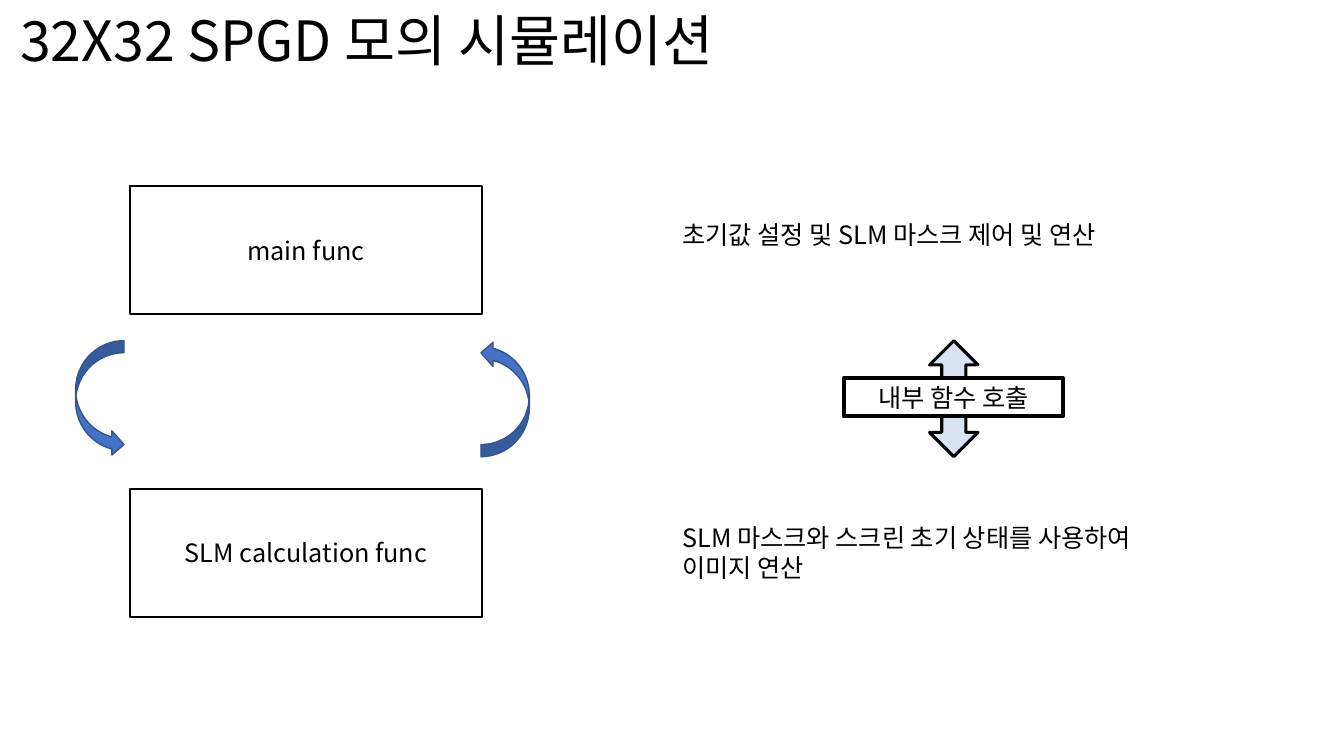
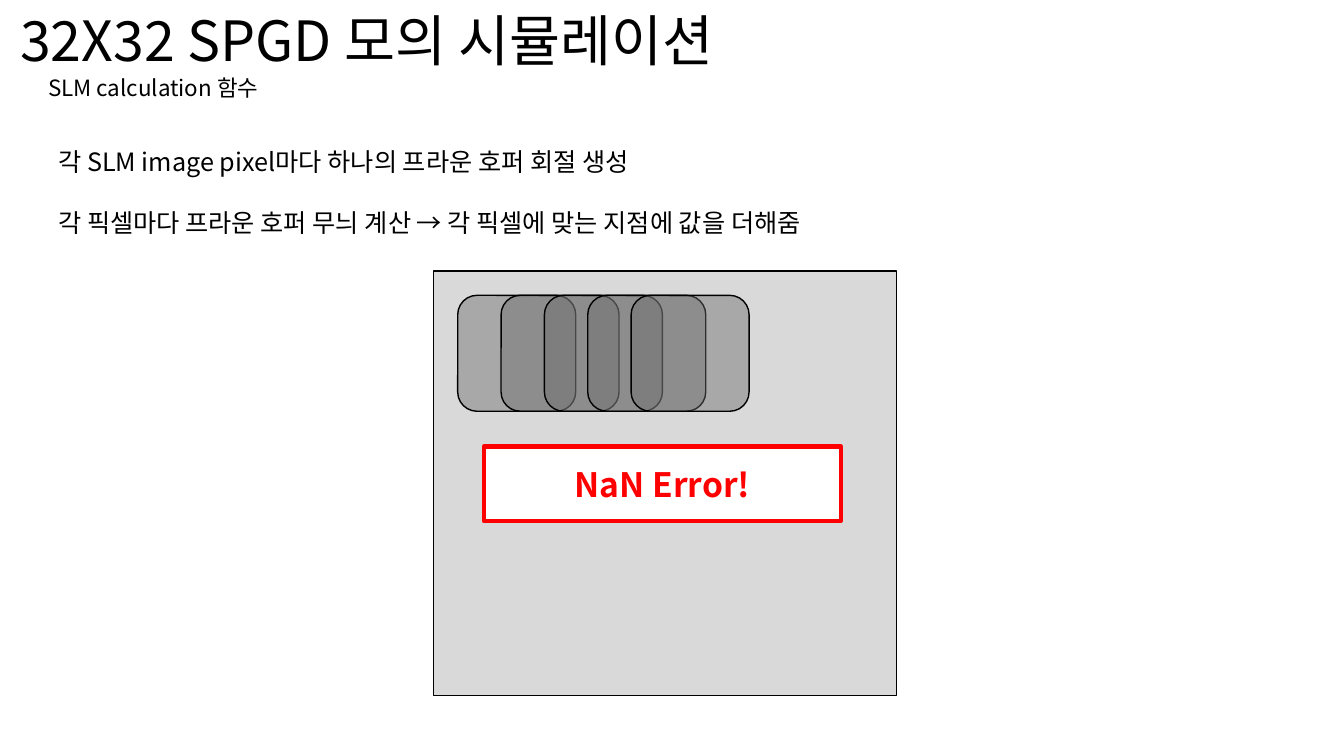
from lxml import etree
from pptx import Presentation
from pptx.dml.color import RGBColor
from pptx.enum import shapes, text
from pptx.oxml import ns
from pptx.util import Inches, Pt

FONT = "Noto Sans CJK KR"
COLORS = {
    "black": "000000", "white": "FFFFFF", "red": "FF0000",
    "blue": "4472C4", "dark blue": "325491", "pale blue": "DAE3F3",
    "screen": "D9D9D9", "pattern": "6B6B6B",
}
TITLE = "32X32 SPGD 모의 시뮬레이션"
SUBTITLE = "SLM calculation 함수"

FUNCTIONS = [  # name, top of its box, description, top of the description
    ("main func", 1.85, ["초기값 설정 및 SLM 마스크 제어 및 연산"], 2.13),
    ("SLM calculation func", 4.85,
     ["SLM 마스크와 스크린 초기 상태를 사용하여", "이미지 연산"], 5.13),
]
LOOP_ARROWS = [(0.75, 0), (4.77, 180)]  # left, rotation
CALL_LABEL = "내부 함수 호출"

STEPS = [
    "각 SLM image pixel마다 하나의 프라운 호퍼 회절 생성",
    "각 픽셀마다 프라운 호퍼 무늬 계산 → 각 픽셀에 맞는 지점에 값을 더해줌",
]
PATTERN_COUNT, PATTERN_LEFT, PATTERN_STEP = 5, 4.54, 0.43
ERROR_LABEL = "NaN Error!"

SHAPE = shapes.MSO_SHAPE
ANCHOR = text.MSO_ANCHOR
ALIGN = text.PP_ALIGN


def rgb(name):
    return RGBColor.from_string(COLORS[name])


def write(shape, lines, size=18, color="black", bold=False, align=ALIGN.LEFT,
          anchor=ANCHOR.TOP, line_spacing=None, gap=0):
    frame = shape.text_frame
    frame.word_wrap = True
    frame.vertical_anchor = anchor
    for index, line in enumerate(lines):
        paragraph = frame.add_paragraph() if index else frame.paragraphs[0]
        paragraph.alignment = align
        paragraph.line_spacing = line_spacing
        if index and gap:
            paragraph.space_before = Pt(gap)
        run = paragraph.add_run()
        run.text = line
        font = run.font
        font.name, font.size, font.bold = FONT, Pt(size), bold
        font.color.rgb = rgb(color)
        east_asian = etree.SubElement(run._r.get_or_add_rPr(), ns.qn("a:ea"))
        east_asian.set("typeface", FONT)


def add_text(slide, box, lines, **text_format):
    write(slide.shapes.add_textbox(*map(Inches, box)), lines, **text_format)


def add_shape(slide, kind, box, fill=None, line="black", width=1, opacity=None):
    shape = slide.shapes.add_shape(kind, *map(Inches, box))
    shape.shadow.inherit = False
    if fill:
        shape.fill.solid()
        shape.fill.fore_color.rgb = rgb(fill)
    else:
        shape.fill.background()
    if opacity:
        color = shape.fill._xPr.find(".//" + ns.qn("a:srgbClr"))
        etree.SubElement(color, ns.qn("a:alpha")).set("val", str(opacity * 1000))
    shape.line.color.rgb = rgb(line)
    shape.line.width = Pt(width)
    return shape


def add_label(slide, box, label, text_format=None, **shape_format):
    """Add a rectangle with centred text."""
    shape = add_shape(slide, SHAPE.RECTANGLE, box, **shape_format)
    write(shape, [label], align=ALIGN.CENTER, anchor=ANCHOR.MIDDLE,
          **(text_format or {}))


def add_titled_slide(presentation):
    slide = presentation.slides.add_slide(presentation.slide_layouts[6])
    add_text(slide, (0.1, 0.15, 12.15, 0.57), [TITLE], size=39.6,
             anchor=ANCHOR.MIDDLE, line_spacing=0.9)
    return slide


def build_overview(presentation):
    slide = add_titled_slide(presentation)
    for name, box_top, description, text_top in FUNCTIONS:
        add_label(slide, (1.29, box_top, 3.49, 1.27), name, width=1.5)
        add_text(slide, (6.67, text_top, 5.77, 0.4), description)
    for left, rotation in LOOP_ARROWS:
        arrow = add_shape(slide, SHAPE.CURVED_RIGHT_ARROW,
                          (left, 3.38, 0.48, 1.15), "blue", "dark blue")
        arrow.rotation = rotation
    call_arrow = add_shape(slide, SHAPE.UP_DOWN_ARROW, (9.22, 3.38, 0.48, 1.15),
                           "pale blue", width=2.25)
    call_arrow.adjustments[0] = 0.375
    call_arrow.adjustments[1] = 0.5
    add_label(slide, (8.37, 3.75, 2.17, 0.38), CALL_LABEL, fill="white", width=3)


def build_calculation(presentation):
    slide = add_titled_slide(presentation)
    add_text(slide, (0.38, 0.72, 4.37, 0.33), [SUBTITLE], size=16,
             line_spacing=0.9)
    add_text(slide, (0.48, 1.4, 12.41, 1.62), STEPS, gap=22)
    add_shape(slide, SHAPE.RECTANGLE, (4.3, 2.69, 4.59, 4.21), "screen")
    for index in range(PATTERN_COUNT):
        left = PATTERN_LEFT + index * PATTERN_STEP
        add_shape(slide, SHAPE.ROUNDED_RECTANGLE, (left, 2.93, 1.17, 1.15),
                  "pattern", opacity=44)
    add_label(slide, (4.8, 4.43, 3.54, 0.74), ERROR_LABEL,
              {"size": 24, "color": "red", "bold": True},
              fill="white", line="red", width=3)


def main():
    presentation = Presentation()
    presentation.slide_width = Inches(13.33)
    presentation.slide_height = Inches(7.5)
    build_overview(presentation)
    build_calculation(presentation)
    presentation.save("out.pptx")


if __name__ == "__main__":
    main()
